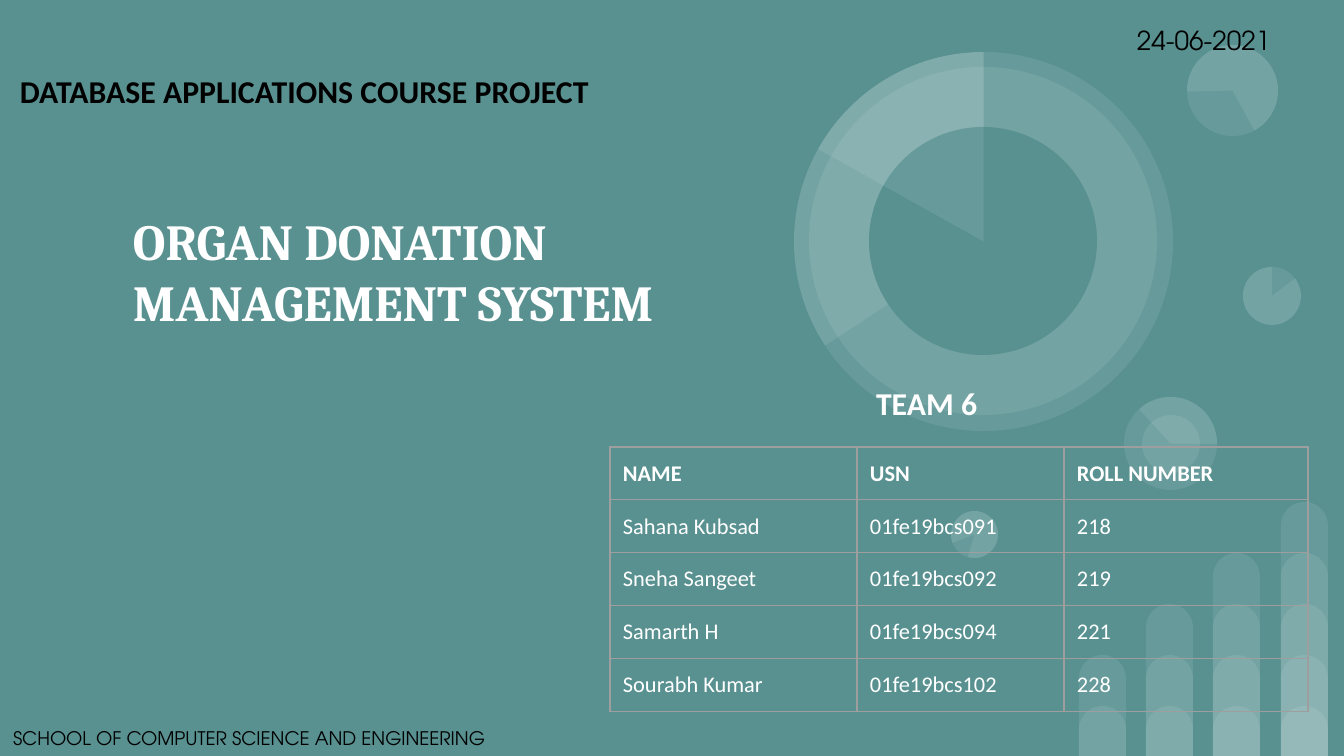
import pptx
import pptx.util
import pptx.dml.color
import pptx.enum.shapes
import pptx.enum.text
import pptx.oxml
import pptx.oxml.ns

RGB = pptx.dml.color.RGBColor
KIND = pptx.enum.shapes.MSO_SHAPE
ANCHOR = pptx.enum.text.MSO_ANCHOR

TEAL = RGB(0x59, 0x91, 0x91)
WHITE = RGB(0xFF, 0xFF, 0xFF)
BLACK = RGB(0, 0, 0)
GREY = RGB(0x9E, 0x9E, 0x9E)

WIDE, HIGH = 1344, 756
INSET = 13

TITLE = {"name": "Cambria", "size": 27, "bold": True, "color": WHITE}
HEAD = {"name": "Calibri", "size": 17, "bold": True, "color": BLACK}
TEAM = {**HEAD, "color": WHITE}
CELL = {"name": "Calibri", "size": 12, "bold": False, "color": WHITE}
DATE = {"name": "TeX Gyre Adventor", "size": 14, "bold": False, "color": BLACK}
SCHOOL = {**DATE, "size": 10}

ROWS = [
    ("NAME", "USN", "ROLL NUMBER"),
    ("Sahana Kubsad", "01fe19bcs091", "218"),
    ("Sneha Sangeet", "01fe19bcs092", "219"),
    ("Samarth H", "01fe19bcs094", "221"),
    ("Sourabh Kumar", "01fe19bcs102", "228"),
]


def px(count):
    return pptx.util.Emu(round(count * 9144000 / WIDE))


def fade(shape, share):
    """Give a solid fill an opacity in percent."""
    color = shape.fill._xPr.find(".//" + pptx.oxml.ns.qn("a:srgbClr"))
    alpha = pptx.oxml.parse_xml(
        f'<a:alpha {pptx.oxml.ns.nsdecls("a")} val="{share * 1000}"/>')
    color.append(alpha)


def add_form(slide, kind, box, adjust=(), turn=0, color=None):
    """Add a borderless shape, faint white unless a colour is given."""
    shape = slide.shapes.add_shape(kind, *map(px, box))
    shape.shadow.inherit = False
    shape.line.fill.background()
    shape.fill.solid()
    shape.fill.fore_color.rgb = color or WHITE
    if color is None:
        fade(shape, 9)
    for index, value in enumerate(adjust):
        shape.adjustments[index] = value
    shape.rotation = turn


def add_disc(slide, left, top, size, turn=0, color=None):
    add_form(slide, KIND.OVAL, (left, top, size, size), (), turn, color)


def add_pie(slide, left, top, size, start, end=270, turn=0):
    """Add a sector between two angles in degrees."""
    angles = (start * 0.6, end * 0.6)
    add_form(slide, KIND.PIE, (left, top, size, size), angles, turn)


def add_bars(slide):
    """Stack see-through bars, one level more in each column."""
    for column in range(4):
        left = 1079 + column * 202 // 3
        for level in range(column + 2):
            tall = 50 + 51 * level
            add_form(slide, KIND.ROUND_2_SAME_RECTANGLE,
                     (left, HIGH - tall, 47, tall), (0.5, 0))


def add_rings(slide):
    small, tiny = (1243, 267, 58), (951, 511, 47)
    low, high = (1124, 397, 93), (1187, 45, 91)
    main_ring = (794, 52, 379)
    add_disc(slide, *small)
    add_pie(slide, *small, 322.95)
    add_disc(slide, *tiny, turn=196.2)
    add_pie(slide, *tiny, 322.95, turn=196.2)
    add_disc(slide, *low, turn=90)
    add_pie(slide, *low, 137.41, 270.77, turn=90)
    add_disc(slide, 1142, 415, 58, turn=90)
    add_disc(slide, *high, turn=215.9)
    add_pie(slide, *high, 322.95, 205.23, turn=215.9)
    add_disc(slide, *main_ring)
    add_disc(slide, 809, 67, 348)
    add_pie(slide, *main_ring, 146.69)
    add_disc(slide, 869, 127, 228, color=TEAL)
    add_pie(slide, *main_ring, 209.24)


def put_text(frame, text, style):
    run = frame.paragraphs[0].add_run()
    run.text = text
    values = {"name": style["name"], "size": pptx.util.Pt(style["size"]),
              "bold": style["bold"]}
    for name, value in values.items():
        setattr(run.font, name, value)
    run.font.color.rgb = style["color"]


def set_inset(item):
    for side in ("left", "top", "right", "bottom"):
        setattr(item, "margin_" + side, px(INSET))


def add_text(slide, box, text, style, anchor=ANCHOR.TOP):
    frame = slide.shapes.add_textbox(*map(px, box)).text_frame
    frame.word_wrap = True
    frame.vertical_anchor = anchor
    set_inset(frame)
    put_text(frame, text, style)


def add_edges(cell):
    props = cell._tc.get_or_add_tcPr()
    space = pptx.oxml.ns.nsdecls("a")
    for index, side in enumerate("LRTB"):
        edge = pptx.oxml.parse_xml(
            f'<a:ln{side} {space} w="9525"><a:solidFill>'
            f'<a:srgbClr val="{GREY}"/></a:solidFill></a:ln{side}>')
        props.insert(index, edge)


def add_grid(slide):
    widths, heights = (247, 207, 244), (40, 50, 50, 50, 50)
    frame = slide.shapes.add_table(
        len(ROWS), len(widths), px(610), px(447),
        px(sum(widths)), px(sum(heights)))
    table = frame.table
    table.first_row = table.horz_banding = False
    for column, width in zip(table.columns, widths):
        column.width = px(width)
    for row, height in zip(table.rows, heights):
        row.height = px(height)
    for index, words in enumerate(ROWS):
        style = {**CELL, "bold": index == 0}
        for cell, text in zip(table.rows[index].cells, words):
            cell.fill.background()
            set_inset(cell)
            put_text(cell.text_frame, text, style)
            add_edges(cell)


def main():
    deck = pptx.Presentation()
    deck.slide_width, deck.slide_height = px(WIDE), px(HIGH)
    slide = deck.slides.add_slide(deck.slide_layouts[6])
    slide.background.fill.solid()
    slide.background.fill.fore_color.rgb = TEAL
    add_bars(slide)
    add_rings(slide)
    add_text(slide, (120, 133, 625, 276), "ORGAN DONATION MANAGEMENT SYSTEM",
             TITLE, ANCHOR.MIDDLE)
    add_text(slide, (0, 716, 707, 50),
             "SCHOOL OF COMPUTER SCIENCE AND ENGINEERING", SCHOOL)
    add_grid(slide)
    add_text(slide, (863, 371, 246, 66), "TEAM 6", TEAM)
    add_text(slide, (7, 59, 659, 66),
             "DATABASE APPLICATIONS COURSE PROJECT", HEAD)
    add_text(slide, (1124, 11, 198, 59), "24-06-2021", DATE)
    deck.save("out.pptx")


if __name__ == "__main__":
    main()
